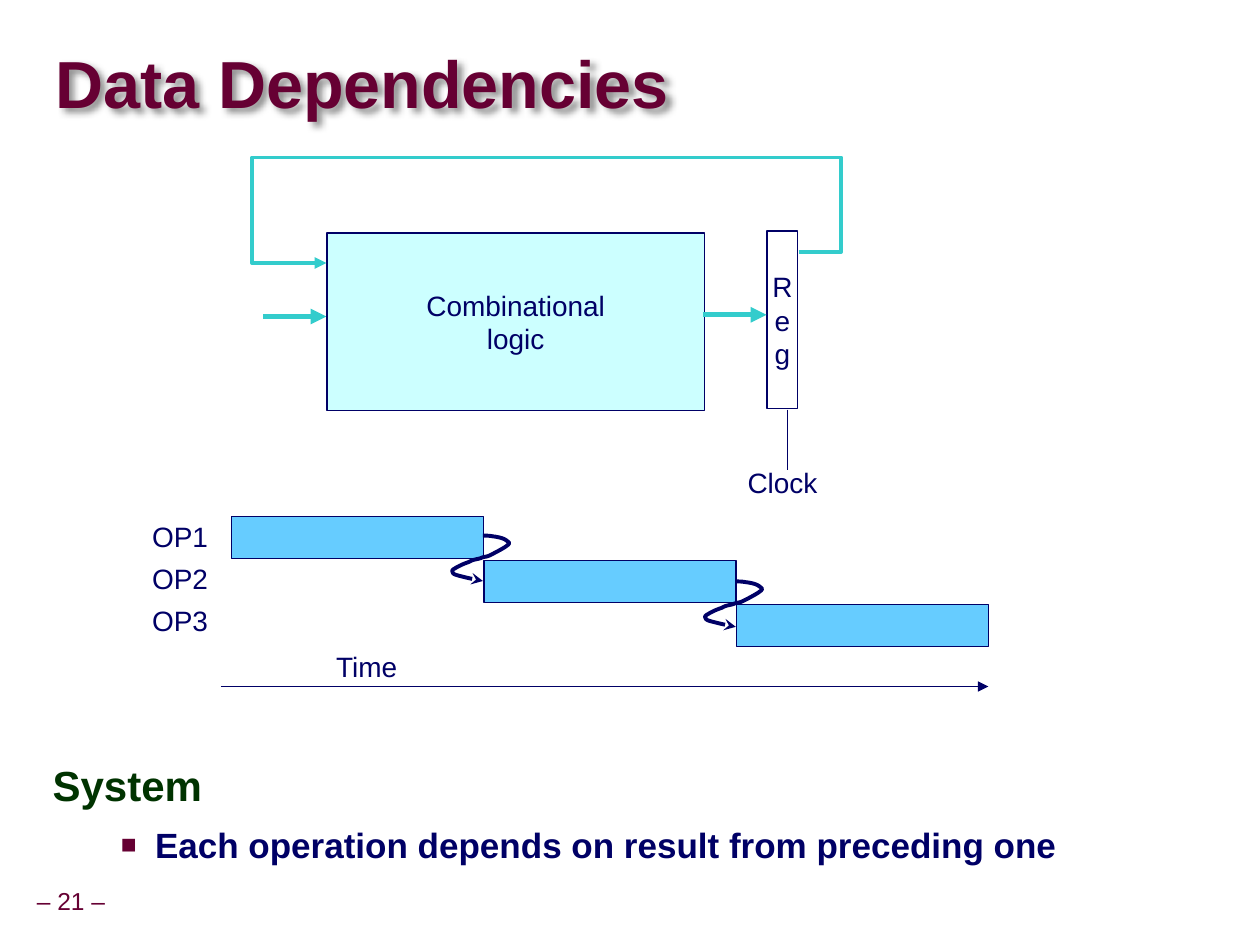
from itertools import chain
from lxml.etree import SubElement
from pptx import Presentation
from pptx.dml.color import RGBColor
from pptx.enum.shapes import MSO_CONNECTOR, MSO_SHAPE
from pptx.enum.text import MSO_ANCHOR, PP_ALIGN
from pptx.oxml.ns import qn
from pptx.util import Pt

COLORS = {
    "maroon": "660033",
    "green": "003300",
    "navy": "000066",
    "teal": "33CCCC",
    "pale": "CCFFFF",
    "blue": "66CCFF",
    "white": "FFFFFF",
    "black": "000000",
}

DEPENDENCY = [
    (0, 0),
    (5, 0.2), (3.6, 0.2), (7.2, 0.7),
    (12.2, 1.4), (13.7, 2.9), (15.1, 4.3),
    (15.1, 5.8), (6.5, 10.1), (3.6, 11.5),
    (2.2, 12.2), (0, 12.2), (-1.4, 13),
    (-3.6, 13.7), (-5.8, 13.7), (-7.9, 15.1),
    (-10.1, 15.8), (-13.7, 17.3), (-15.8, 18.7),
    (-17.3, 19.4), (-18, 20.2), (-17.3, 20.9),
    (-17.3, 21.6), (-16.6, 22.3), (-13.7, 23),
    (-10.8, 23.8), (-2.9, 25.6), (0, 26),
]


def rgb(name):
    return RGBColor.from_string(COLORS[name])


def bezier(start, control1, control2, end, steps=6):
    for step in range(1, steps + 1):
        t = step / steps
        weights = ((1 - t) ** 3, 3 * t * (1 - t) ** 2, 3 * t * t * (1 - t), t ** 3)
        yield tuple(
            sum(weight * value for weight, value in zip(weights, axis))
            for axis in zip(start, control1, control2, end)
        )


def write(frame, text, size=16, color="navy", bold=False, align=PP_ALIGN.CENTER,
          anchor=MSO_ANCHOR.TOP, insets=(7.2, 3.6), wrap=False, spacing=None):
    frame.word_wrap = wrap
    frame.vertical_anchor = anchor
    frame.margin_left = frame.margin_right = Pt(insets[0])
    frame.margin_top = frame.margin_bottom = Pt(insets[1])
    for index, content in enumerate(text.split("\n")):
        paragraph = frame.paragraphs[0] if index == 0 else frame.add_paragraph()
        paragraph.alignment = align
        paragraph.line_spacing = spacing
        run = paragraph.add_run()
        run.text = content
        run.font.name = "Arial"
        run.font.size = Pt(size)
        run.font.bold = bold
        run.font.color.rgb = rgb(color)


class Diagram:
    def __init__(self, slide):
        self.slide = slide
        self.shapes = slide.shapes

    def label(self, text, left, top, width, height, **style):
        label = self.shapes.add_textbox(Pt(left), Pt(top), Pt(width), Pt(height))
        write(label.text_frame, text, **style)
        return label

    def box(self, left, top, width, height, fill, weight=1, text="", **style):
        box = self.shapes.add_shape(
            MSO_SHAPE.RECTANGLE, Pt(left), Pt(top), Pt(width), Pt(height))
        box.shadow.inherit = False
        box.fill.solid()
        box.fill.fore_color.rgb = rgb(fill)
        if weight:
            box.line.color.rgb = rgb("navy")
            box.line.width = Pt(weight)
        else:
            box.line.fill.background()
        if text:
            write(box.text_frame, text, anchor=MSO_ANCHOR.MIDDLE, **style)

    def stroke(self, shape, color, weight, head):
        shape.line.color.rgb = rgb(color)
        shape.line.width = Pt(weight)
        if head:
            outline = shape.element.spPr.find(qn("a:ln"))
            SubElement(outline, qn("a:tailEnd"), type=head)

    def line(self, start, end, color="navy", weight=1, head=None):
        line = self.shapes.add_connector(
            MSO_CONNECTOR.STRAIGHT, *map(Pt, chain(start, end)))
        self.stroke(line, color, weight, head)
        SubElement(line.element.spPr, qn("a:effectLst"))

    def route(self, points, color, head):
        start, *rest = [(Pt(x), Pt(y)) for x, y in points]
        builder = self.shapes.build_freeform(*start)
        builder.add_line_segments(rest, close=False)
        route = builder.convert_to_shape()
        route.shadow.inherit = False
        route.fill.background()
        self.stroke(route, color, 2.25, head)

    def dependency(self, left, top):
        points = [DEPENDENCY[0]]
        for first in range(0, len(DEPENDENCY) - 1, 3):
            points.extend(bezier(*DEPENDENCY[first:first + 4]))
        self.route([(left + x, top + y) for x, y in points], "navy", "stealth")

    def title(self, text):
        title = self.label(text, 31.7, 19.4, 686, 61.2, size=38, color="maroon",
                           bold=True, align=PP_ALIGN.LEFT, anchor=MSO_ANCHOR.MIDDLE,
                           insets=(0, 0), wrap=True, spacing=0.87)
        effects = SubElement(title.element.spPr, qn("a:effectLst"))
        shadow = SubElement(effects, qn("a:outerShdw"), blurRad=str(Pt(4)),
                            dist=str(Pt(3)), dir="2700000", algn="tl", rotWithShape="0")
        tint = SubElement(shadow, qn("a:srgbClr"), val=COLORS["black"])
        SubElement(tint, qn("a:alpha"), val="43000")

    def body(self, heading, point):
        body = self.label(heading, 23, 432.7, 653.8, 74.9, size=24, color="green",
                          bold=True, align=PP_ALIGN.LEFT, wrap=True, spacing=0.95)
        paragraph = body.text_frame.add_paragraph()
        paragraph.space_before = Pt(7)
        properties = paragraph._p.get_or_add_pPr()
        properties.set("marL", str(Pt(58.5)))
        properties.set("indent", str(Pt(-19.5)))
        bullet_color = SubElement(properties, qn("a:buClr"))
        SubElement(bullet_color, qn("a:srgbClr"), val=COLORS["maroon"])
        SubElement(properties, qn("a:buSzPct"), val="75000")
        SubElement(properties, qn("a:buFont"), typeface="Arial")
        SubElement(properties, qn("a:buChar"), char="■")
        paragraph.text = point
        paragraph.font.name = "Arial"
        paragraph.font.size = Pt(20)
        paragraph.font.bold = True
        paragraph.font.color.rgb = rgb("navy")


def main():
    presentation = Presentation()
    presentation.slide_width, presentation.slide_height = Pt(720), Pt(540)
    diagram = Diagram(presentation.slides.add_slide(presentation.slide_layouts[6]))

    diagram.label("– 21 –", 16.6, 504, 48, 23, size=14, color="maroon",
                  anchor=MSO_ANCHOR.MIDDLE, insets=(3.6, 3.6), spacing=0.9)
    diagram.title("Data Dependencies")
    diagram.body("System", "Each operation depends on result from preceding one")

    diagram.line((150.3, 180.9), (186.5, 180.9), "teal", 3, "triangle")
    diagram.label("Clock", 419, 262.3, 56.2, 26.6)
    diagram.box(186.7, 133.3, 216, 101.3, "pale", text="Combinational\nlogic")
    diagram.box(438.5, 132.2, 17.2, 101.3, "white", text="R\ne\ng")
    diagram.line((402, 179.9), (438, 179.9), "teal", 3, "triangle")
    diagram.line((450, 234), (450, 268.3))
    feedback = [(456.5, 144), (480.6, 144), (480.6, 90),
                (144, 90), (144, 150.3), (186.5, 150.3)]
    diagram.route(feedback, "teal", "triangle")

    diagram.line((126.2, 392.3), (564.8, 392.3), head="triangle")
    diagram.label("Time", 185, 367.4, 49.7, 26.6, align=PP_ALIGN.LEFT)
    operations = ["OP1", "OP2", "OP3"]
    for index, operation in enumerate(operations):
        diagram.box(60, 294.5 + 24 * index, 66, 24, "white", 0, operation,
                    align=PP_ALIGN.RIGHT)
    for index in range(len(operations)):
        diagram.box(132.4 + 144.2 * index, 295.2 + 25.1 * index, 144, 24, "blue", 0.75)
    for index in range(len(operations) - 1):
        diagram.dependency(276 + 144.5 * index, 306 + 26.2 * index)

    presentation.save("out.pptx")


if __name__ == "__main__":
    main()
